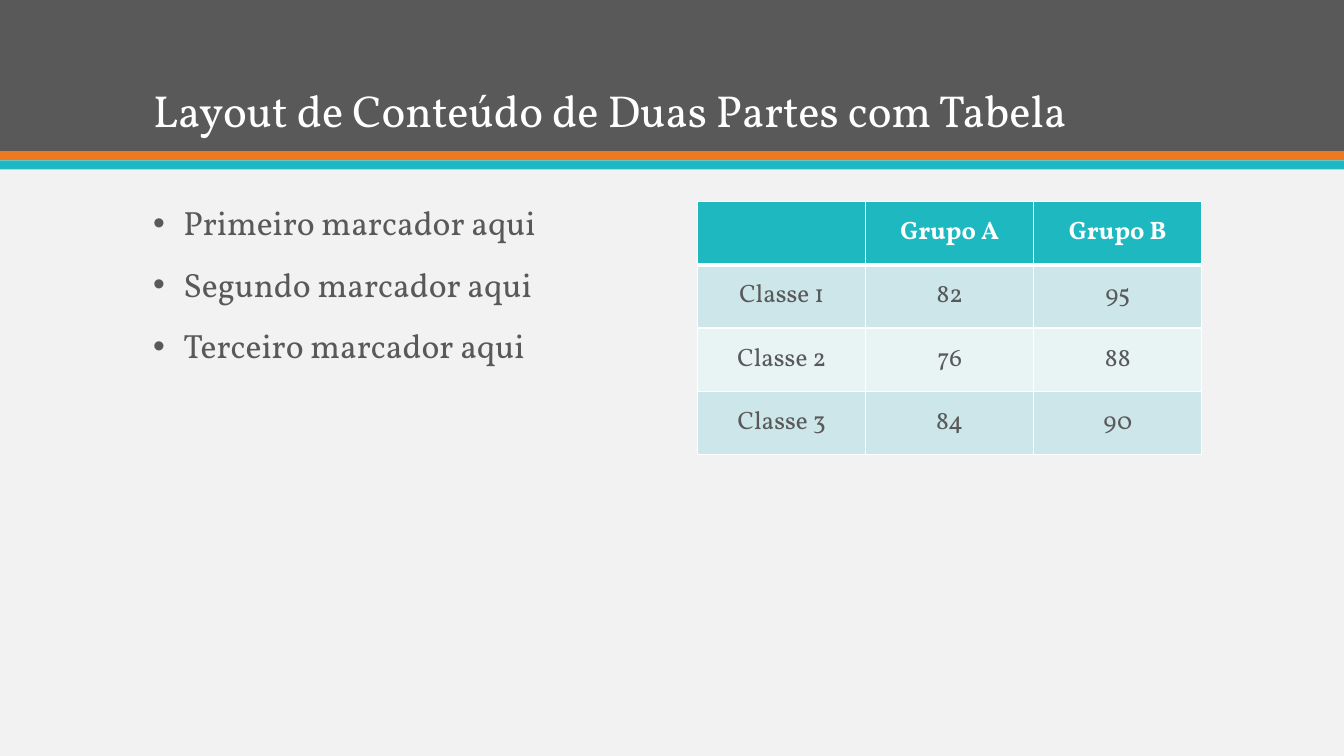
from dataclasses import dataclass

from lxml import etree
from pptx import Presentation
from pptx.dml.color import RGBColor
from pptx.enum.shapes import MSO_SHAPE as SHAPE
from pptx.enum.text import MSO_ANCHOR as ANCHOR, PP_ALIGN as ALIGN
from pptx.oxml.ns import qn
from pptx.util import Inches, Pt


@dataclass(frozen=True)
class Theme:
    font: str = "Vollkorn"
    paper: str = "F2F2F2"
    dark: str = "595959"
    orange: str = "EF7920"
    teal: str = "1EB8C1"
    band_dark: str = "CDE6E9"
    band_light: str = "E8F3F4"
    white: str = "FFFFFF"
    title_size: int = 32
    body_size: int = 24
    table_size: int = 18


THEME = Theme()
SLIDE_W, SLIDE_H = 13.33, 7.5

TITLE = "Layout de Conteúdo de Duas Partes com Tabela"
BULLETS = ["Primeiro marcador aqui", "Segundo marcador aqui", "Terceiro marcador aqui"]
ROWS = [
    ["", "Grupo A", "Grupo B"],
    ["Classe 1", "82", "95"],
    ["Classe 2", "76", "88"],
    ["Classe 3", "84", "90"],
]


def rgb(color):
    return RGBColor.from_string(color)


def write(p, text, size, color=THEME.dark, bold=False, align=ALIGN.LEFT,
          line=None, before=None):
    """Put formatted text in a paragraph."""
    p.alignment = align
    if line is not None:
        p.line_spacing = line
    if before is not None:
        p.space_before = Pt(before)
    r = p.add_run()
    r.text = text
    r.font.name = THEME.font
    r.font.size = Pt(size)
    r.font.bold = bold
    r.font.color.rgb = rgb(color)


def add_bullet(p, indent, color):
    pPr = p._p.get_or_add_pPr()
    pPr.set("marL", str(Inches(indent)))
    pPr.set("indent", str(Inches(-indent)))
    clr = etree.SubElement(pPr, qn("a:buClr"))
    etree.SubElement(clr, qn("a:srgbClr"), val=color)
    etree.SubElement(pPr, qn("a:buFont"), typeface="Arial")
    etree.SubElement(pPr, qn("a:buChar"), char="•")


def set_borders(cell, color, **widths):
    """Draw cell edges; must run before the cell gets its fill."""
    tcPr = cell._tc.get_or_add_tcPr()
    for side in ("L", "R", "T", "B"):
        ln = etree.SubElement(tcPr, qn(f"a:ln{side}"), w=str(Pt(widths.get(side, 1))))
        fill = etree.SubElement(ln, qn("a:solidFill"))
        etree.SubElement(fill, qn("a:srgbClr"), val=color)


def add_text_frame(s, x, y, w, h, anchor):
    tf = s.shapes.add_textbox(Inches(x), Inches(y), Inches(w), Inches(h)).text_frame
    tf.word_wrap = True
    tf.vertical_anchor = anchor
    return tf


def add_header(s, x, y, w, h):
    # Dark band with two thin stripes under it
    stripe = 0.09
    bands = [(0, h, THEME.dark), (h, stripe, THEME.orange),
             (h + stripe, stripe, THEME.teal)]
    for top, height, color in bands:
        sp = s.shapes.add_shape(SHAPE.RECTANGLE, Inches(x), Inches(y + top),
                                Inches(w), Inches(height))
        sp.shadow.inherit = False
        sp.fill.solid()
        sp.fill.fore_color.rgb = rgb(color)
        sp.line.fill.background()

    # Title
    tf = add_text_frame(s, x + 1.42, y + 0.28, 10.5, 1.13, ANCHOR.BOTTOM)
    write(tf.paragraphs[0], TITLE, THEME.title_size, THEME.white, line=0.9)


def add_bullets(s, x, y, w, h):
    tf = add_text_frame(s, x, y, w, h, ANCHOR.TOP)
    for i, text in enumerate(BULLETS):
        p = tf.add_paragraph() if i else tf.paragraphs[0]
        write(p, text, THEME.body_size, line=0.9, before=18)
        add_bullet(p, 0.3, THEME.dark)


def add_grades_table(s, x, y, w, h):
    table = s.shapes.add_table(len(ROWS), len(ROWS[0]), Inches(x), Inches(y),
                               Inches(w), Inches(h)).table
    for column in table.columns:
        column.width = Inches(w / len(ROWS[0]))
    for row in table.rows:
        row.height = Inches(h / len(ROWS))

    for i, values in enumerate(ROWS):
        header = i == 0
        band = THEME.band_dark if i % 2 else THEME.band_light
        # The header row is parted from the data by a thicker line
        edges = {0: {"B": 3}, 1: {"T": 3}}.get(i, {})
        for j, value in enumerate(values):
            cell = table.cell(i, j)
            set_borders(cell, THEME.white, **edges)
            cell.fill.solid()
            cell.fill.fore_color.rgb = rgb(THEME.teal if header else band)
            cell.vertical_anchor = ANCHOR.MIDDLE
            if value:
                write(cell.text_frame.paragraphs[0], value, THEME.table_size,
                      THEME.white if header else THEME.dark,
                      bold=header, align=ALIGN.CENTER)


def main():
    prs = Presentation()
    prs.slide_width, prs.slide_height = Inches(SLIDE_W), Inches(SLIDE_H)
    s = prs.slides.add_slide(prs.slide_layouts[6])
    s.background.fill.solid()
    s.background.fill.fore_color.rgb = rgb(THEME.paper)

    add_header(s, 0, 0, SLIDE_W, 1.5)
    add_bullets(s, 1.42, 2, 10.5, 4.75)
    add_grades_table(s, 6.92, 2, 5, 2.51)
    prs.save("out.pptx")


if __name__ == "__main__":
    main()
